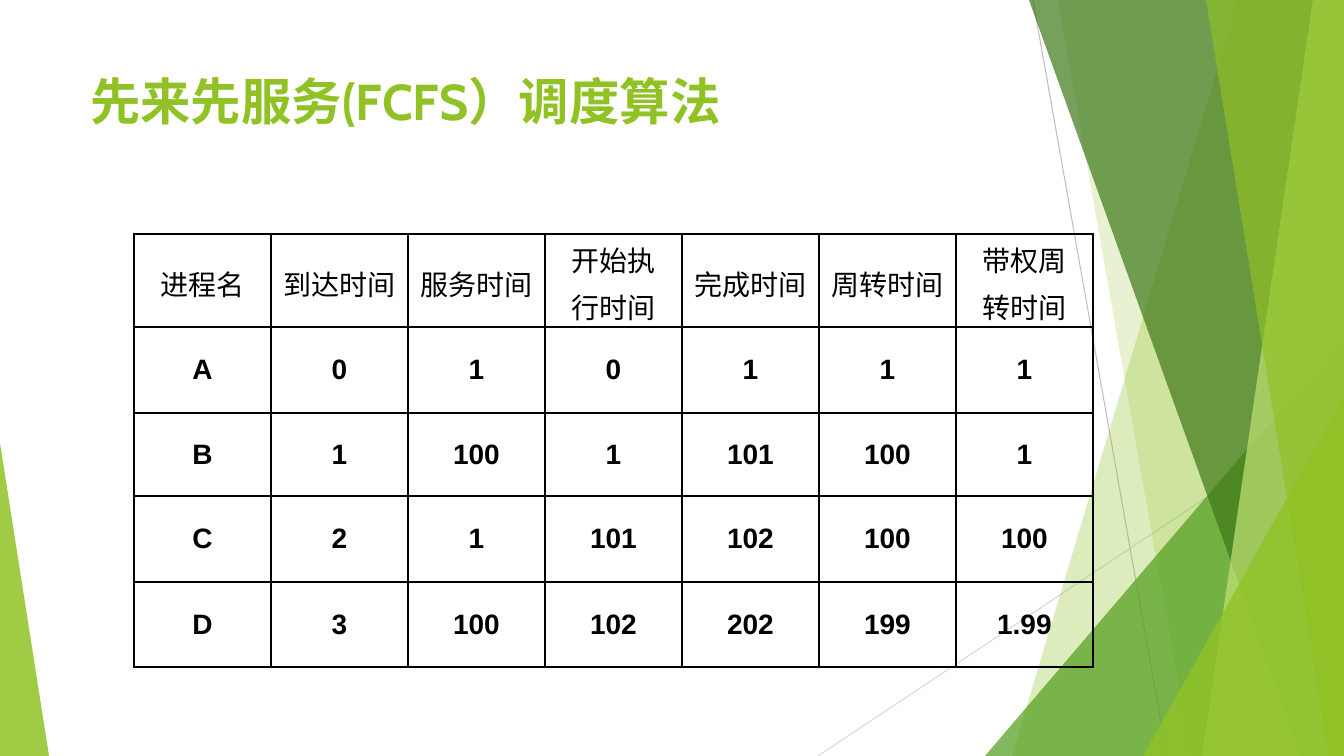
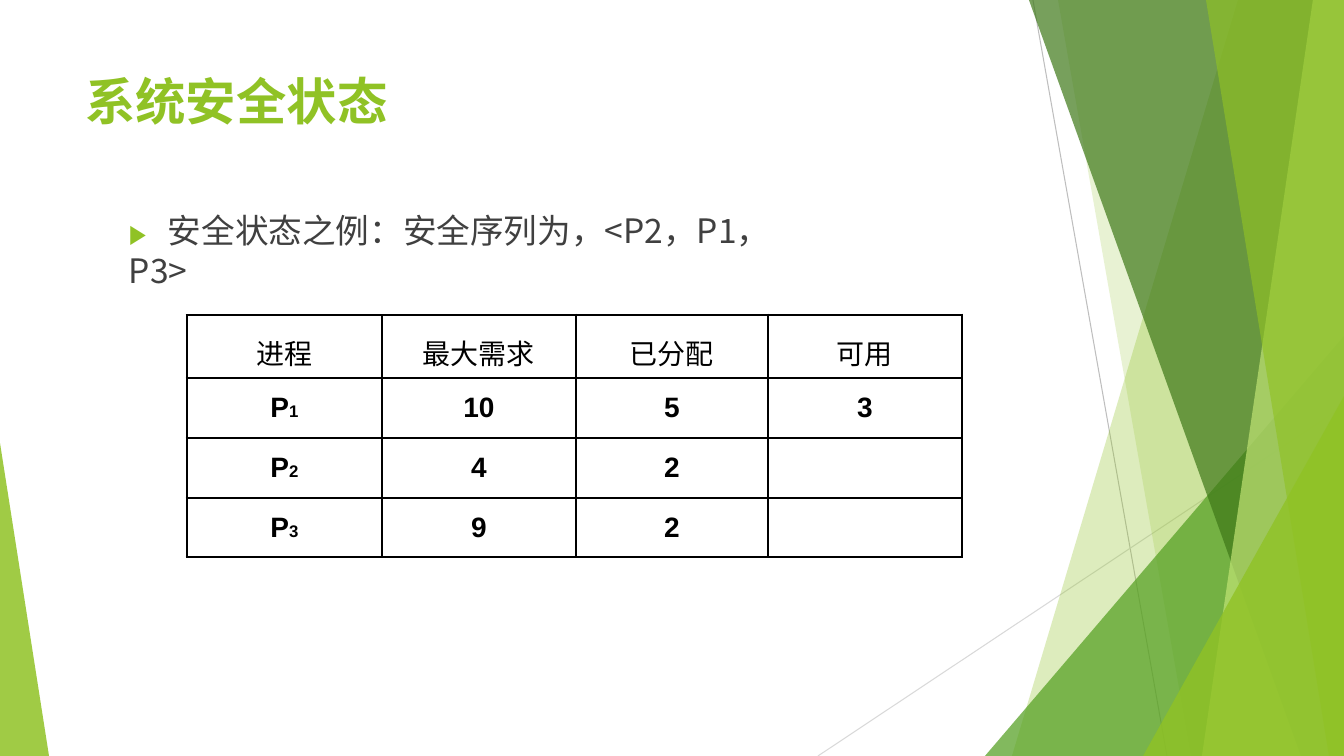
"""Build two slides on scheduling and safe states over a shared faceted backdrop."""
from dataclasses import dataclass
from typing import NamedTuple

from lxml import etree
from pptx import Presentation
from pptx import util as u
from pptx.dml.color import RGBColor
from pptx.enum import shapes, text
from pptx.oxml import ns

WIDTH, HEIGHT = 1344, 756
SCALE = u.Inches(13.3333333) / WIDTH
COLORS = {
    "lime": "90C225", "leaf": "539F20", "forest": "3E7818", "pale": "C0E374",
    "grey": "BEBEBE", "silver": "D9D9D9", "ink": "404040", "black": "000000",
}
HAN, LATIN, HEADING, MARKER = "Noto Sans CJK SC", "Arial", "Cabin", "Courier New"
THIN, THICK = 1, 2.25


class Run(NamedTuple):
    words: str
    size: int
    font: str = HAN
    color: str = "black"
    bold: bool = False


class Ray(NamedTuple):
    start: tuple[int, int]
    end: tuple[int, int]
    color: str


class Facet(NamedTuple):
    corners: tuple[tuple[int, int], ...]
    color: str
    opacity: int


@dataclass(frozen=True)
class Grid:
    left: int
    top: int
    columns: tuple[int, ...]
    rows: tuple[int, ...]
    header_inset: int
    cells: tuple[tuple[str, ...], ...]
    thin_corner: bool = False


def right_facet(top: tuple[int, int], bottom: int, color: str, opacity: int) -> Facet:
    """Return a facet running from a top corner and a bottom corner to the right edge."""
    corners = ((WIDTH, top[1]), top, (bottom, HEIGHT), (WIDTH, HEIGHT))
    return Facet(tuple(dict.fromkeys(corners)), color, opacity)


RAYS = (
    Ray((1033, 0), (1167, HEIGHT), "grey"),
    Ray((WIDTH, 406), (818, HEIGHT), "silver"),
)
FACETS = (
    right_facet((1238, 0), 1012, "lime", 30),
    right_facet((1058, 0), 1191, "lime", 20),
    right_facet((WIDTH, 336), 985, "leaf", 72),
    right_facet((1029, 0), 1301, "forest", 70),
    right_facet((1313, 0), 1202, "pale", 70),
    right_facet((1206, 0), 1329, "lime", 65),
    right_facet((WIDTH, 396), 1143, "lime", 80),
    Facet(((0, 443), (0, HEIGHT), (49, HEIGHT)), "lime", 85),
)
SCHEDULE = Grid(
    134, 234, (137,) * 7, (93, 86, 83, 86, 85), 5,
    (
        ("进程名", "到达时间", "服务时间", "开始执\n行时间", "完成时间", "周转时间", "带权周\n转时间"),
        ("A", "0", "1", "0", "1", "1", "1"),
        ("B", "1", "100", "1", "101", "100", "1"),
        ("C", "2", "1", "101", "102", "100", "100"),
        ("D", "3", "100", "102", "202", "199", "1.99"),
    ),
)
SAFE_STATE = Grid(
    187, 315, (195, 194, 192, 194), (63, 60, 60, 59), 12,
    (
        ("进程", "最大需求", "已分配", "可用"),
        ("P_1", "10", "5", "3"),
        ("P_2", "4", "2", ""),
        ("P_3", "9", "2", ""),
    ),
    thin_corner=True,
)


def px(length: float) -> u.Emu:
    """Turn pixels into EMU."""
    return u.Emu(round(length * SCALE))


def rgb(name: str) -> RGBColor:
    """Return a named colour."""
    return RGBColor.from_string(COLORS[name])


def add_run(paragraph, part: Run) -> None:
    """Append one formatted run, with its font set for Latin and Han text."""
    run = paragraph.add_run()
    run.text = part.words
    run.font.size = u.Pt(part.size)
    run.font.bold = part.bold
    run.font.color.rgb = rgb(part.color)
    run.font.name = part.font
    etree.SubElement(run.font._element, ns.qn("a:ea"), typeface=part.font)


def add_line(slide, left: int, top: int, width: int, height: int, runs: list[Run]):
    """Add a wrapping text box and return its paragraph."""
    frame = slide.shapes.add_textbox(px(left), px(top), px(width), px(height)).text_frame
    frame.word_wrap = True
    frame.margin_left = frame.margin_top = px(1)
    frame.margin_right = frame.margin_bottom = 0
    paragraph = frame.paragraphs[0]
    for part in runs:
        add_run(paragraph, part)
    return paragraph


def add_title(slide, left: int, width: int, *parts: tuple[str, str]) -> None:
    """Add the slide title from pairs of words and font."""
    add_line(slide, left, 69, width, 63,
             [Run(words, 36, font, "lime", True) for words, font in parts])


def add_backdrop(slide) -> None:
    """Draw the rays and translucent facets shared by all slides."""
    for ray in RAYS:
        line = slide.shapes.add_connector(
            shapes.MSO_CONNECTOR.STRAIGHT, *map(px, ray.start + ray.end))
        line.line.color.rgb = rgb(ray.color)
        line.line.width = u.Pt(0.75)
        etree.SubElement(line._element.spPr, ns.qn("a:effectLst"))
    for facet in FACETS:
        first, *others = [(px(x), px(y)) for x, y in facet.corners]
        builder = slide.shapes.build_freeform(*first, scale=1.0)
        builder.add_line_segments(others, close=True)
        pane = builder.convert_to_shape()
        pane.shadow.inherit = False
        pane.line.fill.background()
        pane.fill.solid()
        pane.fill.fore_color.rgb = rgb(facet.color)
        tint = pane._element.spPr.find(f".//{ns.qn('a:srgbClr')}")
        etree.SubElement(tint, ns.qn("a:alpha"), val=str(facet.opacity * 1000))


def set_borders(cell, widths: dict[str, float]) -> None:
    """Give each side of a cell a black line of its own width."""
    properties = cell._tc.get_or_add_tcPr()
    for position, (side, width) in enumerate(widths.items()):
        edge = etree.Element(ns.qn(f"a:ln{side}"), w=str(u.Pt(width)))
        fill = etree.SubElement(edge, ns.qn("a:solidFill"))
        etree.SubElement(fill, ns.qn("a:srgbClr"), val=COLORS["black"])
        properties.insert(position, edge)


def fill_cell(cell, words: str, header: bool) -> None:
    """Write centred cell text, where an underscore starts a subscript."""
    frame = cell.text_frame
    for index, line in enumerate(words.split("\n")):
        paragraph = frame.add_paragraph() if index else frame.paragraphs[0]
        paragraph.alignment = text.PP_ALIGN.CENTER
        if index:
            paragraph.space_before = u.Pt(4.8)
        base, _, subscript = line.partition("_")
        for part, size in ((base, 20), (subscript, 12)):
            if part:
                add_run(paragraph, Run(part, size, HAN if header else LATIN, bold=not header))


def add_grid(slide, grid: Grid) -> None:
    """Add a table with thin inner lines and a thick frame."""
    last_row, last_column = len(grid.rows) - 1, len(grid.columns) - 1
    table = slide.shapes.add_table(
        len(grid.rows), len(grid.columns), px(grid.left), px(grid.top),
        px(sum(grid.columns)), px(sum(grid.rows))).table
    table.first_row = table.horz_banding = False
    for column, width in zip(table.columns, grid.columns):
        column.width = px(width)
    for r, (height, line) in enumerate(zip(grid.rows, grid.cells)):
        table.rows[r].height = px(height)
        for c, words in enumerate(line):
            cell = table.cell(r, c)
            cell.margin_left = cell.margin_right = cell.margin_bottom = 0
            cell.margin_top = 0 if r else px(grid.header_inset)
            cell.vertical_anchor = text.MSO_ANCHOR.MIDDLE
            cell.fill.background()
            thick_top = r == 0 and not (grid.thin_corner and c == 0)
            outer = {"L": c == 0, "R": c == last_column, "T": thick_top, "B": r == last_row}
            set_borders(cell, {side: THICK if edge else THIN for side, edge in outer.items()})
            fill_cell(cell, words, header=r == 0)


def add_example(slide) -> None:
    """Add the marked line that names the safe sequence."""
    paragraph = add_line(slide, 128, 209, 679, 43, [])
    tabs = etree.SubElement(paragraph._p.get_or_add_pPr(), ns.qn("a:tabLst"))
    etree.SubElement(tabs, ns.qn("a:tab"), pos=str(px(39)), algn="l")
    add_run(paragraph, Run("▶\t", 19, MARKER, "lime"))
    add_run(paragraph, Run("安全状态之例：安全序列为，<P2，P1，P3>", 24, HAN, "ink"))


def main() -> None:
    """Build and save the presentation."""
    deck = Presentation()
    deck.slide_width, deck.slide_height = px(WIDTH), px(HEIGHT)
    scheduling, safety = (deck.slides.add_slide(deck.slide_layouts[6]) for _ in range(2))

    add_backdrop(scheduling)
    add_grid(scheduling, SCHEDULE)
    add_title(scheduling, 89, 643, ("先来先服务", HAN), ("(FCFS", HEADING), ("）调度算法", HAN))

    add_backdrop(safety)
    add_title(safety, 84, 306, ("系统安全状态", HAN))
    add_grid(safety, SAFE_STATE)
    add_example(safety)

    deck.save("out.pptx")


if __name__ == "__main__":
    main()
